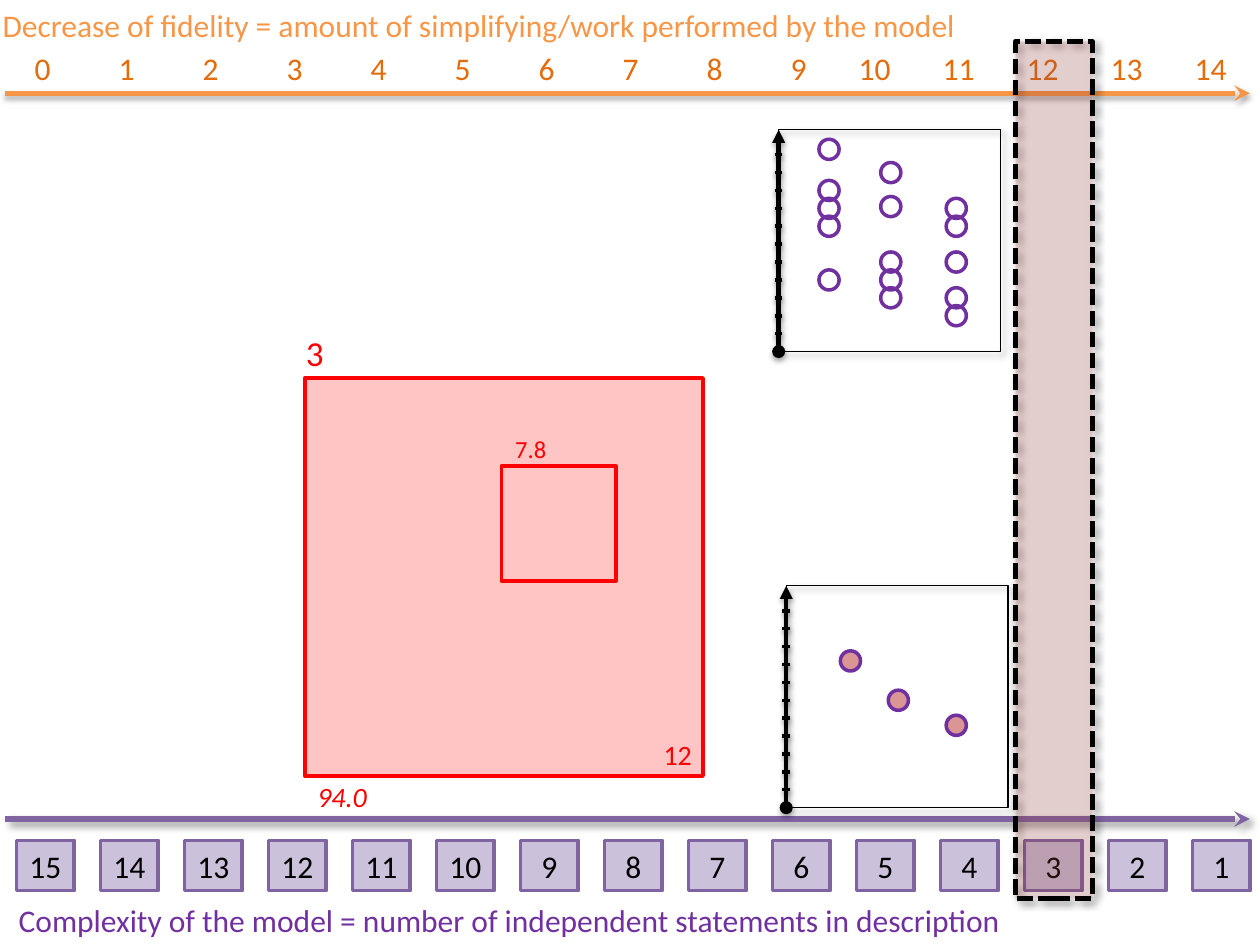
from lxml.etree import SubElement
from pptx import Presentation
from pptx.dml.color import RGBColor
from pptx.enum.dml import MSO_LINE
from pptx.enum.shapes import MSO_CONNECTOR, MSO_SHAPE
from pptx.enum.text import MSO_ANCHOR, MSO_AUTO_SIZE, PP_ALIGN
from pptx.oxml.ns import qn
from pptx.util import Inches, Pt

RED = RGBColor(0xFF, 0x00, 0x00)
ORANGE = RGBColor(0xF7, 0x96, 0x46)
DARK_ORANGE = RGBColor(0xE4, 0x6C, 0x0A)
LILAC = RGBColor(0xCC, 0xC1, 0xDA)
VIOLET = RGBColor(0x80, 0x64, 0xA2)
PURPLE = RGBColor(0x70, 0x30, 0xA0)
ROSE = RGBColor(0xD9, 0x96, 0x94)
BRICK = RGBColor(0xC0, 0x50, 0x4D)
BLACK = RGBColor(0x00, 0x00, 0x00)

# Shadows: opacity %, blur pt, distance pt, direction in degrees
SOFT = (35, 3.1, 1.8, 90)
TICK_SHADOW = (38, 3.1, 1.6, 90)
DEEP = (40, 4, 3, 45)

WIDTH, HEIGHT = 10, 7.5
COLUMNS = 15
PITCH = WIDTH / COLUMNS
TICK = 0.142          # height of one tick on a plot's axis
DOT = 0.16


def add_effects(sp, shadow=None):
    effects = SubElement(sp._element.spPr, qn("a:effectLst"))
    if shadow:
        alpha, blur, dist, angle = shadow
        outer = SubElement(effects, qn("a:outerShdw"), blurRad=str(Pt(blur)), dist=str(Pt(dist)),
                           dir=str(angle * 60000), rotWithShape="0")
        color = SubElement(outer, qn("a:srgbClr"), val="000000")
        SubElement(color, qn("a:alpha"), val=str(alpha * 1000))


def set_text(sp, text, size, color, align=PP_ALIGN.LEFT, anchor=MSO_ANCHOR.TOP, italic=False):
    tf = sp.text_frame
    for name, value in {"word_wrap": True, "auto_size": MSO_AUTO_SIZE.NONE,
                        "vertical_anchor": anchor}.items():
        setattr(tf, name, value)
    p = tf.paragraphs[0]
    p.alignment = align
    r = p.add_run()
    r.text = text
    for name, value in {"name": "Calibri", "size": Pt(size), "italic": italic}.items():
        setattr(r.font, name, value)
    r.font.color.rgb = color


def add_label(s, box, *args, **fmt):
    set_text(s.shapes.add_textbox(*map(Inches, box)), *args, **fmt)


def add_box(s, box, line, width, fill=None, alpha=None, dash=None, shadow=None,
            kind=MSO_SHAPE.RECTANGLE):
    sp = s.shapes.add_shape(kind, *map(Inches, box))
    if fill is None:
        sp.fill.background()
    else:
        sp.fill.solid()
        sp.fill.fore_color.rgb = fill
        if alpha:
            color = sp._element.spPr.find(qn("a:solidFill"))[0]
            SubElement(color, qn("a:alpha"), val=str(alpha * 1000))
    sp.line.color.rgb = line
    sp.line.width = Pt(width)
    if dash:
        sp.line.dash_style = dash
    add_effects(sp, shadow)
    return sp


def add_line(s, start, end, color, width, shadow, head=None, tail=None):
    sp = s.shapes.add_connector(MSO_CONNECTOR.STRAIGHT, *map(Inches, (*start, *end)))
    sp.line.color.rgb = color
    sp.line.width = Pt(width)
    ln = sp.line._get_or_add_ln()
    for tag, arrow in (("a:headEnd", head), ("a:tailEnd", tail)):
        if arrow:
            SubElement(ln, qn(tag), type=arrow)
    add_effects(sp, shadow)


def add_model(s, left, top, side):
    """Large red square with a smaller one inside and their values."""
    add_box(s, (left, top, side, side), RED, 2, RED, alpha=23)
    add_label(s, (left + side - 0.66, top + side - 0.33, 0.67, 0.32), "12", 16, RED,
              align=PP_ALIGN.RIGHT, anchor=MSO_ANCHOR.MIDDLE)
    add_label(s, (left - 0.09, top - 0.36, 1.46, 0.32), "3", 20, RED, anchor=MSO_ANCHOR.MIDDLE)
    add_label(s, (left, top + side - 0.02, 0.63, 0.32), "94.0", 16, RED, italic=True)
    add_label(s, (left + 1.57, top + 0.36, 0.69, 0.37), "7.8", 14, RED, anchor=MSO_ANCHOR.BOTTOM)
    add_box(s, (left + 1.56, top + 0.7, 0.91, 0.91), RED, 2)


def add_fidelity_scale(s, top):
    """Caption in the title, numbers 0 to 14 and an arrow."""
    title = s.shapes.title
    for name, value in zip(("left", "top", "width", "height"), (-0.08, top, 8.25, 0.4)):
        setattr(title, name, Inches(value))
    set_text(title, "Decrease of fidelity = amount of simplifying/work performed by the model",
             18, ORANGE)
    for i in range(COLUMNS):
        add_label(s, (0.04 + i * PITCH, top + 0.34, 0.46, 0.4), str(i), 18, DARK_ORANGE,
                  align=PP_ALIGN.RIGHT)
    add_line(s, (0.04, top + 0.74), (9.92, top + 0.74), ORANGE, 3, SOFT, tail="stealth")


def add_complexity_scale(s, top):
    """Arrow, boxes 15 to 1 and a caption."""
    add_line(s, (0.04, top), (9.92, top), VIOLET, 3, DEEP, tail="stealth")
    for i in range(COLUMNS):
        sp = add_box(s, (0.13 + i * PITCH, top + 0.17, 0.46, 0.4), VIOLET, 2, LILAC)
        set_text(sp, str(COLUMNS - i), 18, BLACK, align=PP_ALIGN.CENTER, anchor=MSO_ANCHOR.MIDDLE)
    add_label(s, (0.05, top + 0.6, 8.25, 0.4),
              "Complexity of the model = number of independent statements in description", 18, PURPLE)


def add_plot(s, left, top, side, points, fill=None):
    """Framed dots beside a ticked axis; points are (inches from axis, ticks from base)."""
    base = top + side
    add_line(s, (left, base), (left, top), BLACK, 2.5, SOFT, head="oval", tail="triangle")
    for i in range(1, 12):
        y = base - i * TICK
        add_line(s, (left - 0.03, y), (left + 0.03, y), BLACK, 2, TICK_SHADOW)
    add_box(s, (left, top, side, side), BLACK, 0.75, shadow=DEEP)
    for x, ticks in points:
        add_box(s, (left + x - DOT / 2, base - ticks * TICK - DOT / 2, DOT, DOT), PURPLE, 2, fill,
                kind=MSO_SHAPE.OVAL)


def main():
    prs = Presentation()
    prs.slide_width, prs.slide_height = Inches(WIDTH), Inches(HEIGHT)
    s = prs.slides.add_slide(prs.slide_layouts[5])

    add_model(s, 2.42, 3, 3.16)
    add_fidelity_scale(s, 0)
    add_complexity_scale(s, 6.5)

    # Upper plot: three columns of readings
    columns = {0.4: (4, 7, 8, 9, 11.3), 0.89: (3, 4, 5, 8.1, 10), 1.41: (2, 3, 5, 7, 8)}
    readings = [(x, ticks) for x, column in columns.items() for ticks in column]
    add_plot(s, 6.18, 1.03, 1.76, readings)

    # Highlighted column across both scales
    add_box(s, (8.06, 0.33, 0.61, 6.8), BLACK, 3, BRICK, alpha=19,
            dash=MSO_LINE.SQUARE_DOT, shadow=DEEP)

    # Lower plot: one mean for each column
    add_plot(s, 6.24, 4.65, 1.76, [(0.51, 8.2), (0.89, 6), (1.35, 4.6)], ROSE)
    prs.save("out.pptx")


if __name__ == "__main__":
    main()
